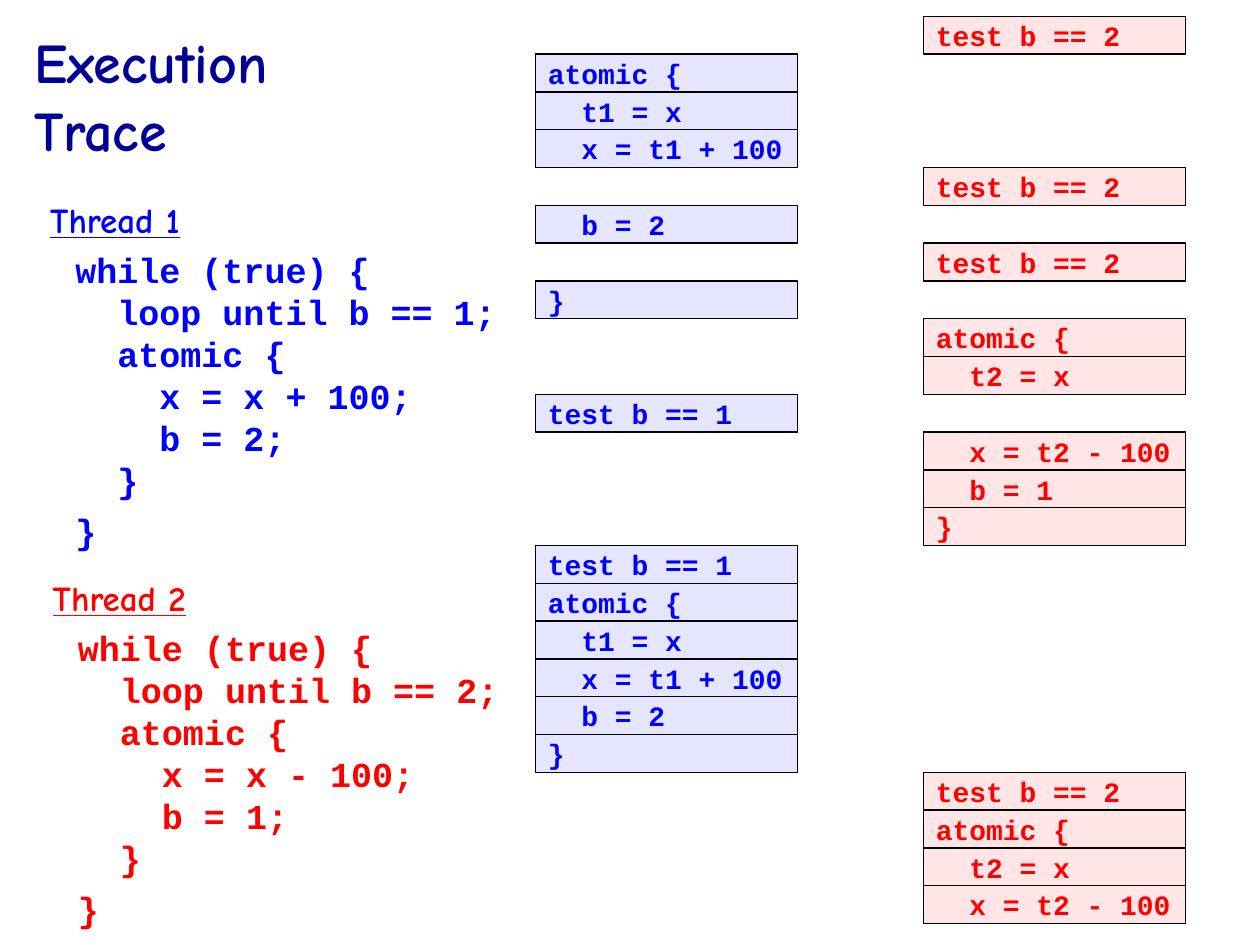
from pptx import Presentation
from pptx import util as u
from pptx.dml.color import RGBColor
from pptx.enum import shapes, text
from pptx.oxml import ns
from lxml import etree

COLORS = {"title": "000099", "thread 1": "0000FF", "thread 2": "FF0000", "border": "000000"}
HEADING_FONT, CODE_FONT = "Comic Neue", "Courier New"
TIME_STEP = 0.3

# Code executed by each thread, keyed by the time step at which a run starts
TRACES = {
    "thread 1": {
        1: ["atomic {", "  t1 = x", "  x = t1 + 100"],
        5: ["  b = 2"],
        7: ["}"],
        10: ["test b == 1"],
        14: ["test b == 1", "atomic {", "  t1 = x", "  x = t1 + 100", "  b = 2", "}"],
    },
    "thread 2": {
        0: ["test b == 2"],
        4: ["test b == 2"],
        6: ["test b == 2"],
        8: ["atomic {", "  t2 = x"],
        11: ["  x = t2 - 100", "  b = 1", "}"],
        20: ["test b == 2", "atomic {", "  t2 = x", "  x = t2 - 100"],
    },
}


def inches(box):
    return [u.Inches(length) for length in box]


def add_run(paragraph, words, font, size, color, underline=None):
    run = paragraph.add_run()
    run.text = words
    run.font.name = font
    run.font.size = u.Pt(size)
    run.font.bold = True
    run.font.underline = underline
    run.font.color.rgb = RGBColor.from_string(COLORS[color])


def indent(paragraph, distance):
    properties = paragraph._p.get_or_add_pPr()
    properties.set("marL", str(u.Inches(distance)))
    properties.set("indent", "0")


def add_title(slide, box, lines):
    title = slide.shapes.title
    title.left, title.top, title.width, title.height = inches(box)
    frame = title.text_frame
    frame.auto_size = text.MSO_AUTO_SIZE.NONE
    frame.vertical_anchor = text.MSO_ANCHOR.MIDDLE
    for number, line in enumerate(lines):
        paragraph = frame.add_paragraph() if number else frame.paragraphs[0]
        paragraph.alignment = text.PP_ALIGN.LEFT
        add_run(paragraph, line, HEADING_FONT, 32, "title")


def add_listing(slide, box, thread, heading, code, closing):
    frame = slide.shapes.add_textbox(*inches(box)).text_frame
    frame.word_wrap = False
    frame.auto_size = text.MSO_AUTO_SIZE.SHAPE_TO_FIT_TEXT
    frame.vertical_anchor = text.MSO_ANCHOR.MIDDLE
    indent(frame.paragraphs[0], 0.3)
    add_run(frame.paragraphs[0], heading, HEADING_FONT, 20, thread, underline=True)
    for lines in (code, [closing]):
        paragraph = frame.add_paragraph()
        paragraph.level = 1
        paragraph.space_before = u.Pt(5)
        indent(paragraph, 0.5)
        for number, line in enumerate(lines):
            if number:
                paragraph.add_line_break()
            add_run(paragraph, line, CODE_FONT, 20, thread)


def add_step(slide, box, thread, code):
    shape = slide.shapes.add_shape(shapes.MSO_SHAPE.RECTANGLE, *inches(box))
    shape.shadow.inherit = False
    shape.fill.solid()
    shape.fill.fore_color.rgb = RGBColor.from_string(COLORS[thread])
    fill_color = shape._element.spPr.find(".//" + ns.qn("a:srgbClr"))
    etree.SubElement(fill_color, ns.qn("a:alpha"), val="10000")
    shape.line.color.rgb = RGBColor.from_string(COLORS["border"])
    shape.line.width = u.Pt(0.75)
    frame = shape.text_frame
    frame.word_wrap = False
    frame.vertical_anchor = text.MSO_ANCHOR.MIDDLE
    frame.paragraphs[0].alignment = text.PP_ALIGN.LEFT
    add_run(frame.paragraphs[0], code, CODE_FONT, 16, thread)


def add_trace(slide, left, top, width, thread):
    """Stack the thread's steps down a time axis that starts at top."""
    for start, steps in TRACES[thread].items():
        for row, code in enumerate(steps, start):
            add_step(slide, (left, top + row * TIME_STEP, width, TIME_STEP), thread, code)


def loop_code(flag, update, next_flag):
    return ["while (true) {", f"  loop until b == {flag};", "  atomic {",
            f"    {update};", f"    b = {next_flag};", "  }"]


def main():
    presentation = Presentation()
    presentation.slide_width, presentation.slide_height = inches((10, 7.5))
    slide = presentation.slides.add_slide(presentation.slide_layouts.get_by_name("Title Only"))
    add_title(slide, (0.17, 0.17, 9.5, 1.17), ["Execution", "Trace"])
    add_trace(slide, 4.25, 0.13, 2.08, "thread 1")
    add_trace(slide, 7.33, 0.13, 2.08, "thread 2")
    add_listing(slide, (0, 1.52, 4.04, 2.91), "thread 1", "Thread 1",
                loop_code(1, "x = x + 100", 2), "}")
    add_listing(slide, (0.02, 4.52, 4.04, 2.91), "thread 2", "Thread 2",
                loop_code(2, "x = x - 100", 1), "}")
    presentation.save("out.pptx")


if __name__ == "__main__":
    main()
